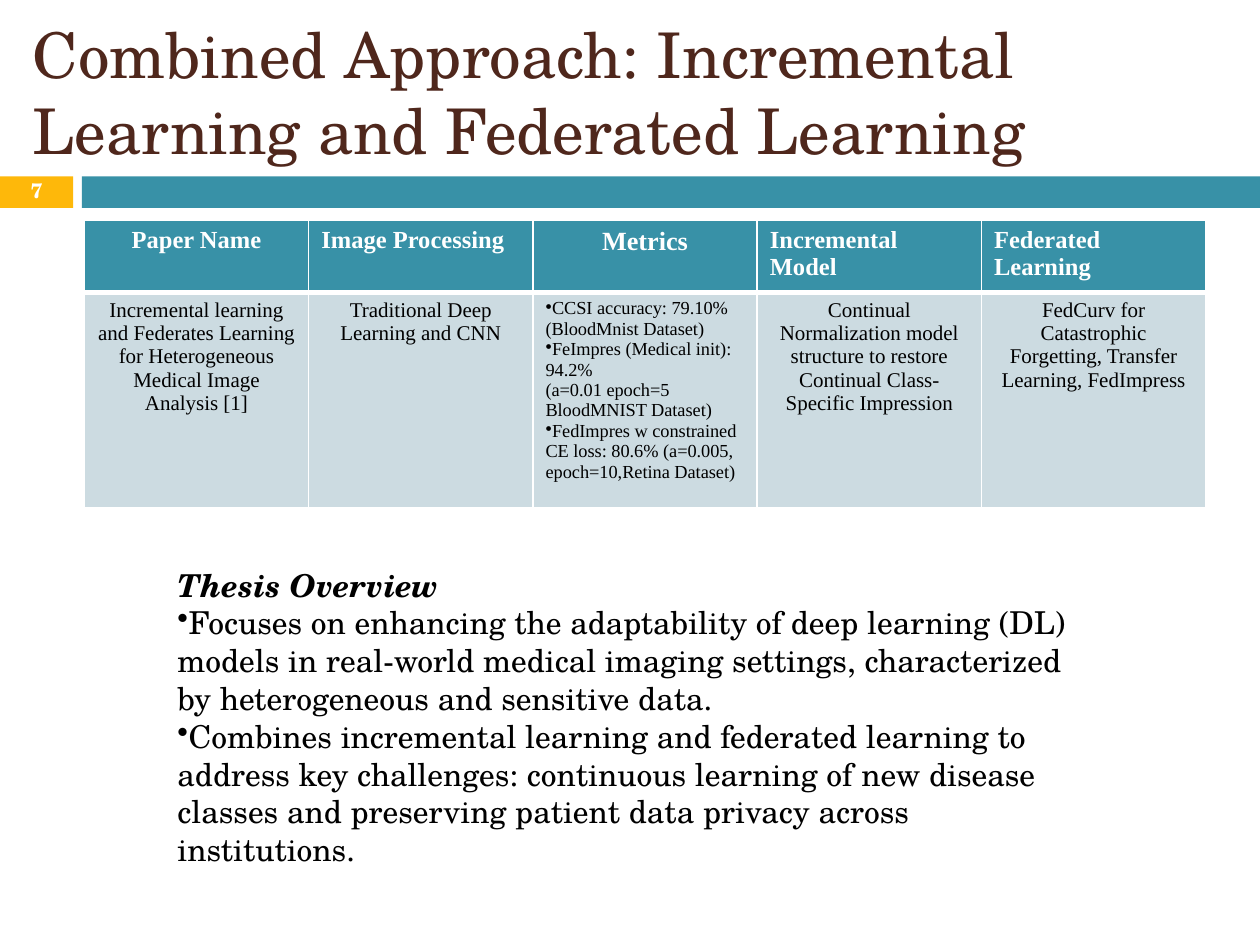
import dataclasses

import lxml.etree
import pptx
import pptx.dml.color
import pptx.enum.shapes
import pptx.enum.text
import pptx.oxml.ns
import pptx.util

RGBColor = pptx.dml.color.RGBColor
ALIGN = pptx.enum.text.PP_ALIGN
ANCHOR = pptx.enum.text.MSO_ANCHOR
FIT = pptx.enum.text.MSO_AUTO_SIZE
qn = pptx.oxml.ns.qn

TEAL = RGBColor(0x38, 0x91, 0xA7)
AMBER = RGBColor(0xFE, 0xB8, 0x0A)
BROWN = RGBColor(0x4F, 0x27, 0x1C)
PALE = RGBColor(0xCC, 0xDB, 0xE1)
WHITE = RGBColor(0xFF, 0xFF, 0xFF)
BLACK = RGBColor(0, 0, 0)
SERIF = "Times New Roman"
SCHOOL = "TeX Gyre Schola"

# The page is a grid of 1000 columns and 750 rows.
PAGE_WIDTH, PAGE_HEIGHT = pptx.util.Inches(10), pptx.util.Inches(7.5)
GRID_COLUMN, GRID_ROW = PAGE_WIDTH // 1000, PAGE_HEIGHT // 750


@dataclasses.dataclass(frozen=True)
class Area:
    column: int
    row: int
    columns: int
    rows: int

    def lengths(self) -> dict:
        return {
            "left": self.column * GRID_COLUMN,
            "top": self.row * GRID_ROW,
            "width": self.columns * GRID_COLUMN,
            "height": self.rows * GRID_ROW,
        }


@dataclasses.dataclass(frozen=True)
class Style:
    size: float
    color: RGBColor
    name: str = SERIF
    bold: bool = False
    italic: bool = False
    align: ALIGN = ALIGN.LEFT
    hanging: float = 0.07


@dataclasses.dataclass(frozen=True)
class Line:
    text: str
    style: Style
    bullet: bool = False


HEADING = Style(14, WHITE, bold=True)
HEADING_CENTRED = dataclasses.replace(HEADING, align=ALIGN.CENTER)
HEADING_LARGE = dataclasses.replace(HEADING_CENTRED, size=15)
ENTRY = Style(12, BLACK, align=ALIGN.CENTER)
METRIC = Style(10.5, BLACK)
OVERVIEW = Style(18, BLACK, SCHOOL, hanging=0.12)
OVERVIEW_HEADING = dataclasses.replace(OVERVIEW, bold=True, italic=True)
TITLE = Style(36, BROWN, SCHOOL)
NUMBER = Style(11.9, WHITE, SCHOOL, bold=True, align=ALIGN.CENTER)

TABLE_ROWS = [
    [
        [Line("Paper Name", HEADING_CENTRED)],
        [Line("Image Processing", HEADING)],
        [Line("Metrics", HEADING_LARGE)],
        [Line("Incremental Model", HEADING)],
        [Line("Federated Learning", HEADING)],
    ],
    [
        [Line("Incremental learning and Federates Learning for Heterogeneous "
              "Medical Image Analysis [1]", ENTRY)],
        [Line("Traditional Deep Learning and CNN", ENTRY)],
        [
            Line("CCSI accuracy: 79.10%", METRIC, True),
            Line("(BloodMnist Dataset)", METRIC),
            Line("FeImpres (Medical init): 94.2%", METRIC, True),
            Line("(a=0.01 epoch=5 BloodMNIST Dataset)", METRIC),
            Line("FedImpres w constrained CE loss: 80.6% (a=0.005, "
                 "epoch=10,Retina Dataset)", METRIC, True),
        ],
        [Line("Continual Normalization model structure to restore Continual "
              "Class-Specific Impression", ENTRY)],
        [Line("FedCurv for Catastrophic Forgetting, Transfer Learning, "
              "FedImpress", ENTRY)],
    ],
]
THESIS = [
    Line("Thesis Overview", OVERVIEW_HEADING),
    Line("Focuses on enhancing the adaptability of deep learning (DL) models in "
         "real-world medical imaging settings, characterized by heterogeneous "
         "and sensitive data.", OVERVIEW, True),
    Line("Combines incremental learning and federated learning to address key "
         "challenges: continuous learning of new disease classes and preserving "
         "patient data privacy across institutions.", OVERVIEW, True),
]


def assign(target, values: dict) -> None:
    for key, value in values.items():
        setattr(target, key, value)


def add_bullet(para, hanging: float) -> None:
    properties = para._p.get_or_add_pPr()
    properties.set("marL", "0")
    properties.set("indent", str(-pptx.util.Inches(hanging)))
    lxml.etree.SubElement(properties, qn("a:buChar")).set("char", "•")


def write(frame, lines: list[Line]) -> None:
    for index, line in enumerate(lines):
        para = frame.add_paragraph() if index else frame.paragraphs[0]
        style = line.style
        para.alignment = style.align
        if line.bullet:
            add_bullet(para, style.hanging)
        span = para.add_run()
        span.text = line.text
        assign(span.font, {"size": pptx.util.Pt(style.size), "name": style.name,
                           "bold": style.bold, "italic": style.italic})
        span.font.color.rgb = style.color


def add_bar(page, area: Area, color: RGBColor):
    bar = page.shapes.add_shape(
        pptx.enum.shapes.MSO_SHAPE.RECTANGLE, **area.lengths())
    bar.shadow.inherit = False
    bar.fill.solid()
    bar.fill.fore_color.rgb = color
    bar.line.fill.background()
    return bar


def add_text(page, area: Area, lines: list[Line], anchor: ANCHOR):
    box = page.shapes.add_textbox(**area.lengths())
    assign(box.text_frame, {"word_wrap": True, "vertical_anchor": anchor})
    write(box.text_frame, lines)
    return box


def add_borders(cell, widths: dict[str, int]) -> None:
    properties = cell._tc.get_or_add_tcPr()
    for side, width in widths.items():
        border = lxml.etree.SubElement(properties, qn(f"a:ln{side}"))
        border.set("w", str(pptx.util.Pt(width)))
        fill = lxml.etree.SubElement(border, qn("a:solidFill"))
        lxml.etree.SubElement(fill, qn("a:srgbClr")).set("val", str(WHITE))


def add_paper_table(page, area: Area, row_heights: list[int]) -> None:
    table = page.shapes.add_table(
        len(TABLE_ROWS), len(TABLE_ROWS[0]), **area.lengths()).table
    for row, height in zip(table.rows, row_heights):
        row.height = height * GRID_ROW
    for row, entries in enumerate(TABLE_ROWS):
        for column, lines in enumerate(entries):
            cell = table.cell(row, column)
            add_borders(cell, {"L": 1, "R": 1, "T": 1 if row == 0 else 3,
                               "B": 3 if row == 0 else 1})
            cell.fill.solid()
            cell.fill.fore_color.rgb = PALE if row else TEAL
            write(cell.text_frame, lines)


def main() -> None:
    deck = pptx.Presentation()
    assign(deck, {"slide_width": PAGE_WIDTH, "slide_height": PAGE_HEIGHT})
    page = deck.slides.add_slide(deck.slide_layouts.get_by_name("Title Only"))

    title = page.shapes.title
    assign(title, Area(16, 25, 969, 95).lengths())
    assign(title.text_frame, {"word_wrap": True, "auto_size": FIT.NONE,
                              "vertical_anchor": ANCHOR.MIDDLE})
    write(title.text_frame, [Line(
        "Combined Approach: Incremental Learning and Federated Learning", TITLE)])

    add_bar(page, Area(0, 140, 58, 25), AMBER)
    add_bar(page, Area(65, 140, 935, 25), TEAL)
    number = add_text(page, Area(0, 139, 58, 27), [Line("7", NUMBER)], ANCHOR.MIDDLE)
    number.text_frame.paragraphs[0].line_spacing = 0.8

    add_paper_table(page, Area(67, 175, 890, 228), [57, 171])
    add_text(page, Area(131, 444, 742, 252), THESIS, ANCHOR.TOP)
    deck.save("out.pptx")


if __name__ == "__main__":
    main()
